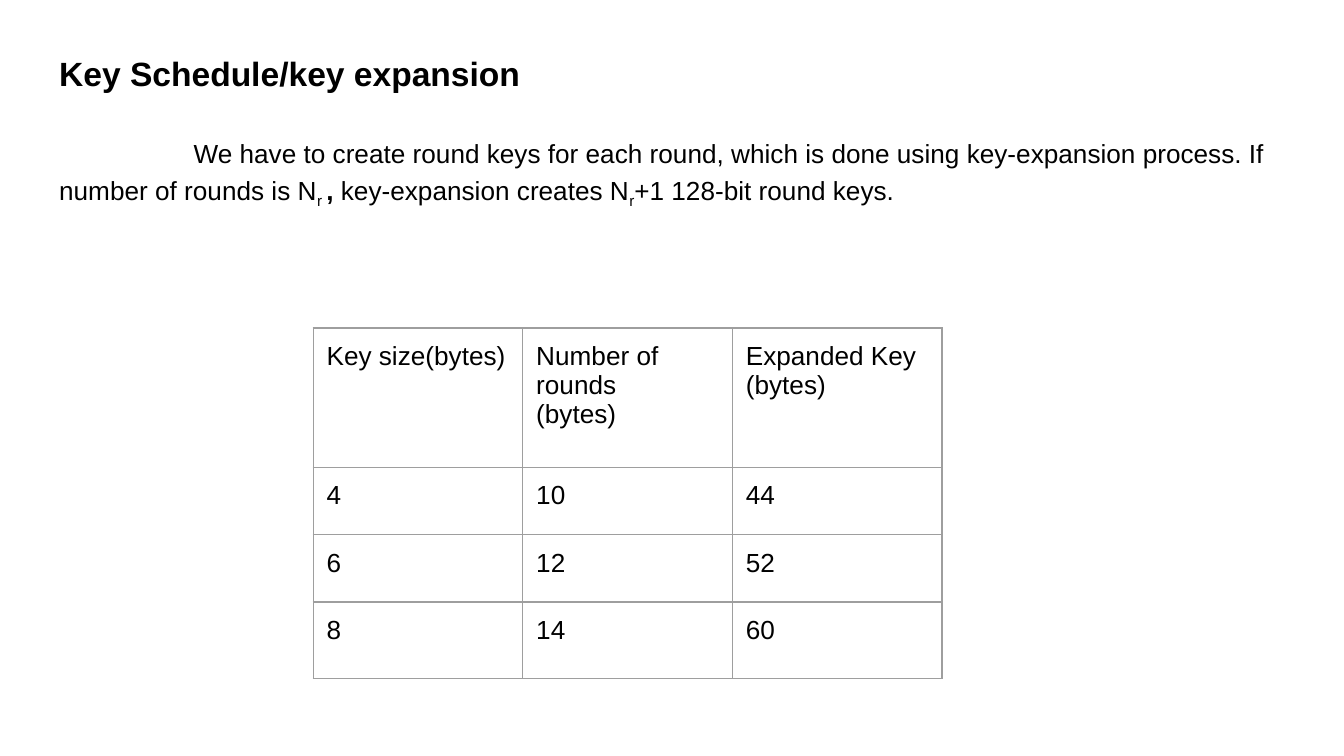
from lxml import etree
from pptx import Presentation
from pptx.dml.color import RGBColor
from pptx.enum.text import MSO_ANCHOR, MSO_AUTO_SIZE, PP_ALIGN
from pptx.oxml.ns import qn
from pptx.util import Inches, Pt

TOP = MSO_ANCHOR.TOP
LEFT = PP_ALIGN.LEFT
NO_AUTOFIT = MSO_AUTO_SIZE.NONE

HEADING = "Key Schedule/key expansion"
EXPLANATION = [
    ("We have to create round keys for each round, which is done using "
     "key-expansion process. If number of rounds is N", {}),
    ("r ", {"subscript": True}),
    (", ", {"bold": True}),
    ("key-expansion creates N", {}),
    ("r", {"subscript": True}),
    ("+1 128-bit round keys.", {}),
]
KEY_SIZES = [
    [["Key size(bytes)"], ["Number of rounds", "(bytes)"], ["Expanded Key", "(bytes)"]],
    [["4"], ["10"], ["44"]],
    [["6"], ["12"], ["52"]],
    [["8"], ["14"], ["60"]],
]
COLUMN_WIDTH = 1.56
ROW_HEIGHTS = [1.04, 0.5, 0.5, 0.57]


def color(hex_code):
    return RGBColor.from_string(hex_code)


class SlideBuilder:
    font = "Arial"
    ink = "000000"
    paper = "FFFFFF"
    rule = "9E9E9E"
    rule_width = Pt(0.75)
    inset = Inches(0.1)
    text_size = 14
    heading_size = 18

    def __init__(self, slide):
        self.slide = slide
        background = slide.background.fill
        background.solid()
        background.fore_color.rgb = color(self.paper)

    def run(self, paragraph, text, size=text_size, bold=False, subscript=False):
        run = paragraph.add_run()
        run.text = text
        run.font.name = self.font
        run.font.size = Pt(size)
        run.font.bold = bold
        run.font.color.rgb = color(self.ink)
        if subscript:
            run.font._element.set("baseline", "-25000")

    def plain_paragraph(self, paragraph, first_indent=0, space_before=0):
        """Replace the template's bullet and spacing with body-text settings."""
        paragraph.alignment = LEFT
        paragraph.line_spacing = 1.15
        paragraph.space_before = Pt(space_before)
        paragraph.space_after = Pt(16)
        properties = paragraph._p.get_or_add_pPr()
        properties.set("marL", "0")
        properties.set("indent", str(Inches(first_indent)))
        etree.SubElement(properties, qn("a:buNone"))

    def body(self, left, top, width, height):
        body = self.slide.placeholders[1]
        body.left, body.top = Inches(left), Inches(top)
        body.width, body.height = Inches(width), Inches(height)
        frame = body.text_frame
        frame.word_wrap = True
        frame.auto_size = NO_AUTOFIT
        frame.vertical_anchor = TOP
        frame.margin_left = frame.margin_right = self.inset
        frame.margin_top = frame.margin_bottom = self.inset

        heading = frame.paragraphs[0]
        self.plain_paragraph(heading)
        self.run(heading, HEADING, size=self.heading_size, bold=True)

        explanation = frame.add_paragraph()
        self.plain_paragraph(explanation, first_indent=1, space_before=5)
        for text, style in EXPLANATION:
            self.run(explanation, text, **style)

    def border(self, cell):
        properties = cell._tc.get_or_add_tcPr()
        for position, side in enumerate(("a:lnL", "a:lnR", "a:lnT", "a:lnB")):
            line = etree.Element(qn(side), w=str(self.rule_width))
            fill = etree.SubElement(line, qn("a:solidFill"))
            etree.SubElement(fill, qn("a:srgbClr"), val=self.rule)
            properties.insert(position, line)

    def cell(self, cell, lines):
        cell.fill.background()
        cell.vertical_anchor = TOP
        cell.margin_left = cell.margin_right = self.inset
        cell.margin_top = cell.margin_bottom = self.inset
        frame = cell.text_frame
        for index, text in enumerate(lines):
            paragraph = frame.add_paragraph() if index else frame.paragraphs[0]
            self.run(paragraph, text)
        self.border(cell)

    def table(self, left, top, rows, column_width, row_heights):
        columns = len(rows[0])
        table = self.slide.shapes.add_table(
            len(rows), columns, Inches(left), Inches(top),
            Inches(column_width * columns), Inches(sum(row_heights))).table
        table.first_row = table.horz_banding = False
        for column in table.columns:
            column.width = Inches(column_width)
        for table_row, height, contents in zip(table.rows, row_heights, rows):
            table_row.height = Inches(height)
            for cell, lines in zip(table_row.cells, contents):
                self.cell(cell, lines)


def main():
    presentation = Presentation()
    presentation.slide_width = Inches(10)
    presentation.slide_height = presentation.slide_width * 9 // 16
    slide = presentation.slides.add_slide(presentation.slide_layouts[1])
    # The heading is the first paragraph of the body.
    unused_title = slide.shapes.title.element
    unused_title.getparent().remove(unused_title)

    builder = SlideBuilder(slide)
    builder.body(0.34, 0.25, 9.32, 5.13)
    builder.table(2.33, 2.44, KEY_SIZES, COLUMN_WIDTH, ROW_HEIGHTS)
    presentation.save("out.pptx")


if __name__ == "__main__":
    main()
